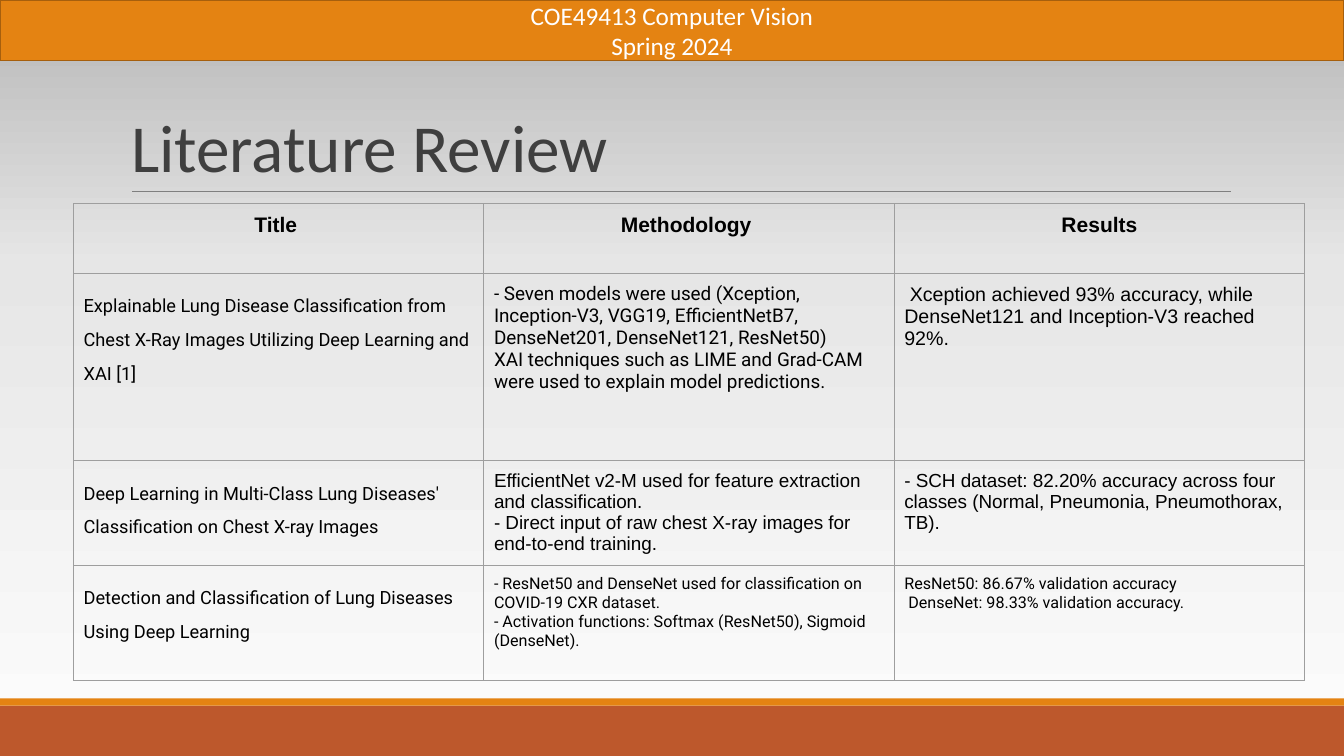
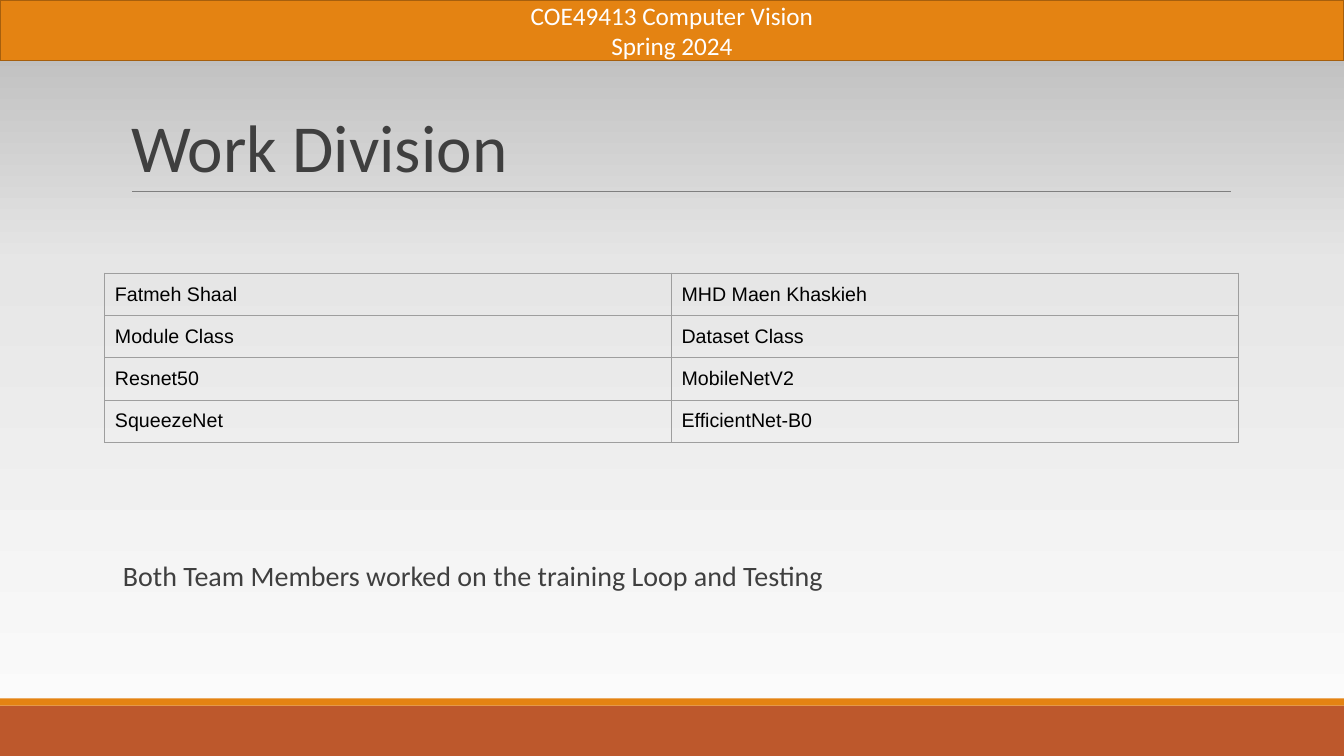
import copy
import pptx
import pptx.util
import pptx.dml.color
import pptx.enum.shapes
import pptx.enum.text
import pptx.oxml
import pptx.oxml.ns

Inches, Pt = pptx.util.Inches, pptx.util.Pt
ALIGN, ANCHOR = pptx.enum.text.PP_ALIGN, pptx.enum.text.MSO_ANCHOR
WIDE, HIGH = 13.33, 7.5

HUES = {
    "orange": "E48312", "rust": "BD582C", "edge": "A65F0D",
    "rule": "7F7F7F", "grid": "9E9E9E", "ink": "3F3F3F",
    "black": "000000", "white": "FFFFFF",
}
FADE = [(0, "FDFDFD"), (0.65, "E6E6E6"), (1, "B6B6B6")]

# look: (font name, size, colour, bold), paragraph format
CITE = {"line_spacing": 1.6, "space_before": Pt(14), "space_after": Pt(4)}
LOOKS = {
    "title": (("Calibri", 48, "ink", False), {"alignment": ALIGN.LEFT, "line_spacing": 0.85}),
    "band": (("Calibri", 18, "white", False), {"alignment": ALIGN.CENTER}),
    "note": (("Calibri", 20, "ink", False), {}),
    "head": (("Arial", 15, "black", True), {"alignment": ALIGN.CENTER}),
    "cite": (("Roboto", 13, "black", False), CITE),
    "models": (("Roboto", 13.5, "black", False), {}),
    "small": (("Roboto", 11.5, "black", False), {}),
    "plain": (("Arial", 14, "black", False), {}),
    "tight": (("Arial", 13.5, "black", False), {}),
}

BAND = ["COE49413 Computer Vision", "Spring 2024"]
PAPERS = [
    [("head", ["Title "]), ("head", ["Methodology "]), ("head", ["Results"])],
    [
        ("cite", ["Explainable Lung Disease Classification from Chest X-Ray Images "
                  "Utilizing Deep Learning and XAI [1]"]),
        ("models", ["- Seven models were used (Xception, Inception-V3, VGG19, "
                    "EfficientNetB7, DenseNet201, DenseNet121, ResNet50)",
                    "XAI techniques such as LIME and Grad-CAM were used to explain "
                    "model predictions."]),
        ("plain", [" Xception achieved 93% accuracy, while DenseNet121 and "
                   "Inception-V3 reached 92%."]),
    ],
    [
        ("cite", ["Deep Learning in Multi-Class Lung Diseases' Classification on "
                  "Chest X-ray Images"]),
        ("tight", ["EfficientNet v2-M used for feature extraction and classification.",
                   "- Direct input of raw chest X-ray images for end-to-end training."]),
        ("tight", ["- SCH dataset: 82.20% accuracy across four classes (Normal, "
                   "Pneumonia, Pneumothorax, TB)."]),
    ],
    [
        ("cite", ["Detection and Classification of Lung Diseases Using Deep Learning"]),
        ("small", ["- ResNet50 and DenseNet used for classification on COVID-19 CXR dataset.",
                   "- Activation functions: Softmax (ResNet50), Sigmoid (DenseNet)."]),
        ("small", ["ResNet50: 86.67% validation accuracy",
                   " DenseNet: 98.33% validation accuracy."]),
    ],
]
TASKS = [
    ("Fatmeh Shaal", "MHD Maen Khaskieh"),
    ("Module Class", "Dataset Class"),
    ("Resnet50", "MobileNetV2"),
    ("SqueezeNet", "EfficientNet-B0"),
]
SLIDES = [
    {"title": "Literature Review", "cells": PAPERS, "at": (0.73, 2.02),
     "width": 12.21, "rows": [0.69, 1.86, 1.03, 1.15]},
    {"title": "Work Division", "at": (1.04, 2.71), "width": 11.24, "rows": [0.42] * 4,
     "cells": [[("plain", [task]) for task in row] for row in TASKS],
     "note": "Both Team Members worked on the training Loop and Testing"},
]


def paint(color, hue):
    color.rgb = pptx.dml.color.RGBColor.from_string(HUES.get(hue, hue))


def apply(thing, values):
    for key, value in values.items():
        setattr(thing, key, value)


def inset(thing, side, top):
    """Set the inner margins of a cell or a text frame."""
    apply(thing, {"margin_left": Inches(side), "margin_right": Inches(side),
                  "margin_top": Inches(top), "margin_bottom": Inches(top)})


def write(frame, look, lines):
    (name, size, hue, bold), form = LOOKS[look]
    frame.word_wrap = True
    for num, line in enumerate(lines):
        para = frame.add_paragraph() if num else frame.paragraphs[0]
        apply(para, form)
        run = para.add_run()
        run.text = line
        apply(run.font, {"name": name, "size": Pt(size), "bold": bold})
        paint(run.font.color, hue)


def add_bar(slide, top, height, hue, edge=None):
    bar = slide.shapes.add_shape(pptx.enum.shapes.MSO_SHAPE.RECTANGLE, 0, Inches(top),
                                 Inches(WIDE), Inches(height))
    bar.shadow.inherit = False
    bar.fill.solid()
    paint(bar.fill.fore_color, hue)
    if edge:
        paint(bar.line.color, edge)
        bar.line.width = Pt(1.25)
    else:
        bar.line.fill.background()
    return bar


def add_rule(slide):
    ends = [Inches(n) for n in (1.31, 1.9, 12.21, 1.9)]
    rule = slide.shapes.add_connector(pptx.enum.shapes.MSO_CONNECTOR.STRAIGHT, *ends)
    paint(rule.line.color, "rule")
    rule.line.width = Pt(0.75)
    rule.element.spPr.append(pptx.oxml.parse_xml(
        f"<a:effectLst {pptx.oxml.ns.nsdecls('a')}/>"))
    return rule


def fade(layout):
    """Give the layout a three-stop gradient that rises from the bottom edge."""
    fill = layout.background.fill
    fill.gradient()
    fill.gradient_angle = 90
    first = next(layout.element.iter(pptx.oxml.ns.qn("a:gs")))
    first.addnext(copy.deepcopy(first))
    for stop, (place, hue) in zip(fill.gradient_stops, FADE):
        stop.position = place
        paint(stop.color, hue)


def share(layout, slide):
    """Draw the common parts on a slide, then move them into its layout."""
    for spot in list(layout.placeholders)[1:]:
        spot.element.getparent().remove(spot.element)
    fade(layout)
    parts = [add_bar(slide, 7, 0.5, "rust"), add_bar(slide, 6.93, 0.07, "orange"),
             add_rule(slide), add_bar(slide, 0, 0.6, "orange", "edge")]
    frame = parts[-1].text_frame
    inset(frame, 0.1, 0.05)
    frame.vertical_anchor = ANCHOR.MIDDLE
    write(frame, "band", BAND)
    for num, part in enumerate(parts):
        layout.shapes.element.insert(2 + num, part.element)


def add_title(slide, text):
    title = slide.shapes.title
    apply(title, {"left": Inches(1.2), "top": Inches(0.31),
                  "width": Inches(11), "height": Inches(1.59)})
    frame = title.text_frame
    inset(frame, 0.1, 0.05)
    apply(frame, {"vertical_anchor": ANCHOR.BOTTOM,
                  "auto_size": pptx.enum.text.MSO_AUTO_SIZE.NONE})
    write(frame, "title", [text])


def frame_cell(cell):
    """Draw a thin grey line on all four sides of a cell."""
    props = cell._tc.get_or_add_tcPr()
    for num, side in enumerate(("lnL", "lnR", "lnT", "lnB")):
        props.insert(num, pptx.oxml.parse_xml(
            f'<a:{side} {pptx.oxml.ns.nsdecls("a")} w="{Pt(0.75)}"><a:solidFill>'
            f'<a:srgbClr val="{HUES["grid"]}"/></a:solidFill></a:{side}>'))


def add_grid(slide, cells, at, width, rows):
    left, top = at
    count = len(cells[0])
    grid = slide.shapes.add_table(len(rows), count, Inches(left), Inches(top),
                                  Inches(width), Inches(sum(rows))).table
    apply(grid, {"first_row": False, "horz_banding": False})
    for col in grid.columns:
        col.width = Inches(width / count)
    for y, height in enumerate(rows):
        grid.rows[y].height = Inches(height)
        for x, (look, lines) in enumerate(cells[y]):
            cell = grid.cell(y, x)
            cell.fill.background()
            inset(cell, 0.1, 0.1)
            frame_cell(cell)
            write(cell.text_frame, look, lines)


def add_note(slide, text):
    box = slide.shapes.add_textbox(Inches(1.12), Inches(5.44), Inches(8.01), Inches(0.7))
    inset(box.text_frame, 0.1, 0.1)
    write(box.text_frame, "note", [text])


def main():
    deck = pptx.Presentation()
    apply(deck, {"slide_width": Inches(WIDE), "slide_height": Inches(HIGH)})
    layout = deck.slide_layouts[5]
    for num, page in enumerate(SLIDES):
        slide = deck.slides.add_slide(layout)
        if num == 0:
            share(layout, slide)
        add_title(slide, page["title"])
        add_grid(slide, page["cells"], page["at"], page["width"], page["rows"])
        if "note" in page:
            add_note(slide, page["note"])
    deck.save("out.pptx")


if __name__ == "__main__":
    main()
